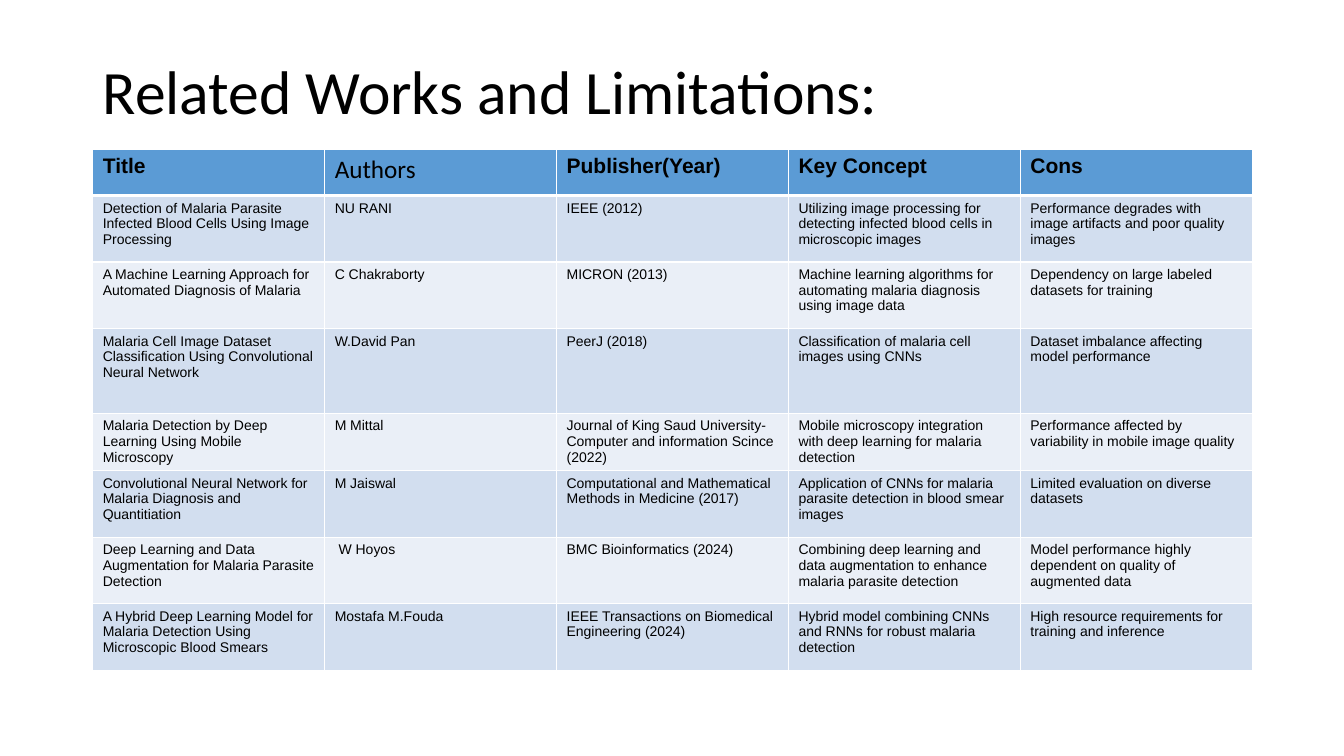
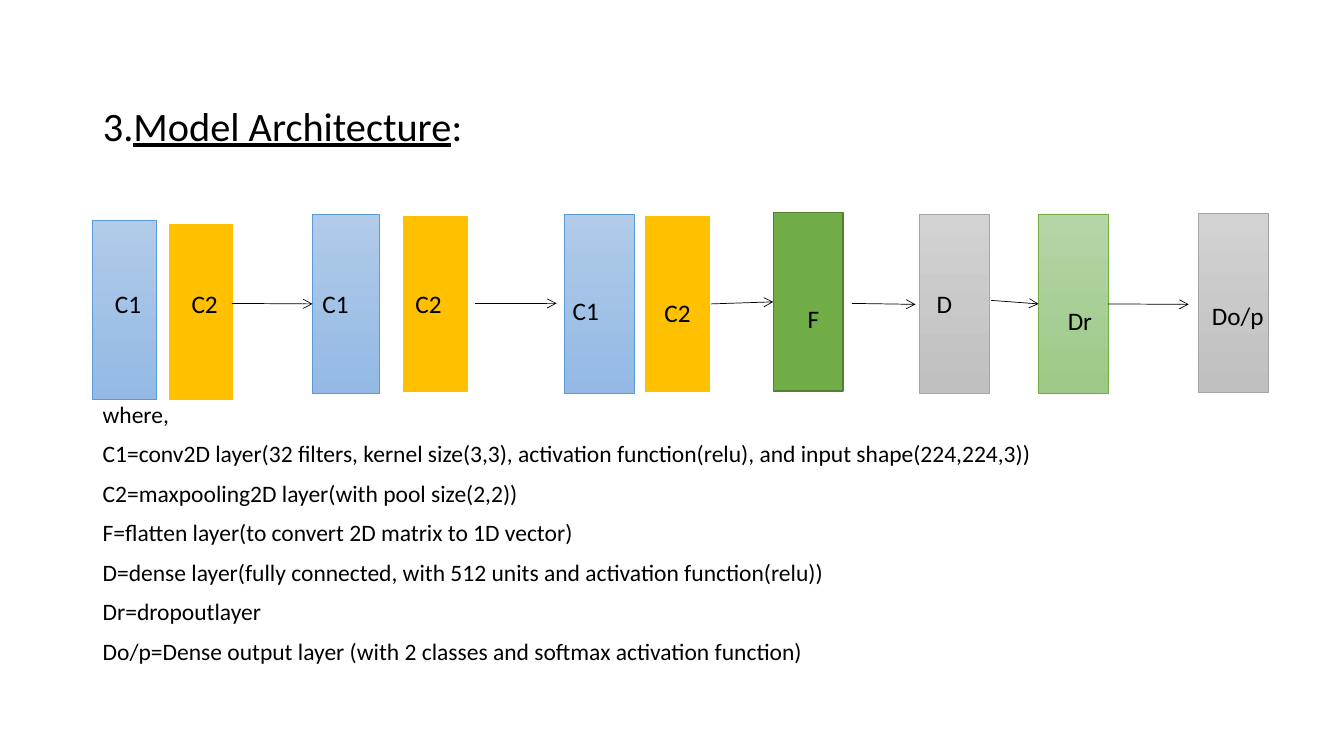
from lxml import etree
from pptx import Presentation
from pptx.dml.color import RGBColor
from pptx.enum.shapes import MSO_CONNECTOR, MSO_SHAPE
from pptx.enum.text import MSO_ANCHOR, MSO_AUTO_SIZE, PP_ALIGN
from pptx.oxml.ns import qn
from pptx.util import Emu, Pt

PX = 9144
TITLE_ONLY = 5
PROCESS = MSO_SHAPE.FLOWCHART_PROCESS
STRAIGHT = MSO_CONNECTOR.STRAIGHT
TOP, MIDDLE = MSO_ANCHOR.TOP, MSO_ANCHOR.MIDDLE
LEFT = PP_ALIGN.LEFT
NO_AUTOFIT = MSO_AUTO_SIZE.NONE
LEFT_SIDE, RIGHT_SIDE = 1, 3

BLACK = RGBColor(0x00, 0x00, 0x00)
WHITE = RGBColor(0xFF, 0xFF, 0xFF)
BLUE = RGBColor(0x5B, 0x9B, 0xD5)
BLUE_BAND = RGBColor(0xD2, 0xDE, 0xEF)
PALE_BAND = RGBColor(0xEA, 0xEF, 0xF7)
BLUE_TOP = RGBColor(0xB1, 0xCB, 0xE9)
BLUE_BOTTOM = RGBColor(0x93, 0xB9, 0xE4)
GOLD = RGBColor(0xFF, 0xC0, 0x00)
GREEN = RGBColor(0x70, 0xAD, 0x47)
DARK_GREEN = RGBColor(0x53, 0x80, 0x35)
GREEN_TOP = RGBColor(0xB5, 0xD5, 0xA7)
GREEN_BOTTOM = RGBColor(0x9C, 0xC9, 0x87)
GRAY = RGBColor(0xA5, 0xA5, 0xA5)
GRAY_TOP = RGBColor(0xD2, 0xD2, 0xD2)
GRAY_BOTTOM = RGBColor(0xC0, 0xC0, 0xC0)

HEADINGS = ["Title", "Authors", "Publisher(Year)", "Key Concept", "Cons"]
WORKS = [
    ["Detection of Malaria Parasite Infected Blood Cells Using Image Processing", "NU RANI", "IEEE (2012)",
     "Utilizing image processing for detecting infected blood cells in microscopic images",
     "Performance degrades with image artifacts and poor quality images"],
    ["A Machine Learning Approach for Automated Diagnosis of Malaria", "C Chakraborty", "MICRON (2013)",
     "Machine learning algorithms for automating malaria diagnosis using image data",
     "Dependency on large labeled datasets for training"],
    ["Malaria Cell Image Dataset Classification Using Convolutional Neural Network", "W.David Pan",
     "PeerJ (2018)", "Classification of malaria cell images using CNNs",
     "Dataset imbalance affecting model performance"],
    ["Malaria Detection by Deep Learning Using Mobile Microscopy", "M Mittal",
     "Journal of King Saud University-Computer and information Scince (2022)",
     "Mobile microscopy integration with deep learning for malaria detection",
     "Performance affected by variability in mobile image quality"],
    ["Convolutional Neural Network for Malaria Diagnosis and Quantitiation", "M Jaiswal",
     "Computational and Mathematical Methods in Medicine (2017)",
     "Application of CNNs for malaria parasite detection in blood smear images",
     "Limited evaluation on diverse datasets"],
    ["Deep Learning and Data Augmentation for Malaria Parasite Detection", " W Hoyos",
     "BMC Bioinformatics (2024)",
     "Combining deep learning and data augmentation to enhance malaria parasite detection",
     "Model performance highly dependent on quality of augmented data"],
    ["A Hybrid Deep Learning Model for Malaria Detection Using Microscopic Blood Smears", "Mostafa M.Fouda",
     "IEEE Transactions on Biomedical Engineering (2024)",
     "Hybrid model combining CNNs and RNNs for robust malaria detection",
     "High resource requirements for training and inference"],
]
COLUMN_WIDTH = 230
ROW_HEIGHTS = [46, 66, 66, 84, 57, 66, 66, 66]

BLOCK_HEIGHT = 177
BLOCK_STYLES = {
    "C1": ([BLUE_TOP, BLUE_BOTTOM], BLUE, 0.5),
    "C2": ([GOLD], WHITE, 1.5),
    "F": ([GREEN], DARK_GREEN, 1),
    "D": ([GRAY_TOP, GRAY_BOTTOM], GRAY, 0.5),
    "Dr": ([GREEN_TOP, GREEN_BOTTOM], GREEN, 0.5),
    "Do/p": ([GRAY_TOP, GRAY_BOTTOM], GRAY, 0.5),
}
BLOCKS = [
    ("C1", 92, 219, 63, (22, 67)),
    ("C2", 167, 221, 65, (23, 65)),
    ("C1", 310, 213, 66, (10, 73)),
    ("C2", 399, 213, 66, (13, 73)),
    ("C1", 560, 213, 69, (8, 80)),
    ("C2", 639, 213, 66, (20, 82)),
    ("F", 767, 211, 69, (34, 90)),
    ("D", 912, 213, 69, (17, 73)),
    ("Dr", 1030, 213, 69, (29, 90)),
    ("Do/p", 1189, 212, 69, (13, 86)),
]
ARROWS = [
    ((230, 301), (310, 301), None, 2),
    ((471, 301), (552, 301), None, None),
    ((705, 300), (767, 302), 5, 6),
    ((845, 301), (908, 302), None, None),
    ((983, 298), (1030, 301), None, 8),
    ((1099, 302), (1179, 302), 8, None),
]
LEGEND = [
    "where,",
    "C1=conv2D layer(32 filters, kernel size(3,3), activation function(relu), and input shape(224,224,3))",
    "C2=maxpooling2D layer(with pool size(2,2))",
    "F=flatten layer(to convert 2D matrix to 1D vector)",
    "D=dense layer(fully connected, with 512 units and activation function(relu))",
    "Dr=dropoutlayer",
    "Do/p=Dense output layer (with 2 classes and softmax activation function)",
]


def px(*lengths):
    return [Emu(length * PX) for length in lengths]


def write(para, text, size=18, font="Calibri", bold=False, underline=False, color=BLACK):
    span = para.add_run()
    span.text = text
    span.font.size = Pt(size)
    span.font.name = font
    span.font.bold = bold
    span.font.underline = underline
    span.font.color.rgb = color


def add_page(deck, box, size, spans):
    page = deck.slides.add_slide(deck.slide_layouts[TITLE_ONLY])
    title = page.shapes.title
    title.left, title.top, title.width, title.height = px(*box)
    frame = title.text_frame
    frame.auto_size = NO_AUTOFIT
    frame.word_wrap = True
    frame.vertical_anchor = MIDDLE
    para = frame.paragraphs[0]
    para.alignment = LEFT
    para.line_spacing = 0.9
    for text, underline in spans:
        write(para, text, size=size, underline=underline)
    return page


def set_borders(cell, bottom):
    properties = cell._tc.get_or_add_tcPr()
    for side, width in (("L", 1), ("R", 1), ("T", 1), ("B", bottom)):
        line = etree.SubElement(properties, qn(f"a:ln{side}"), w=str(Pt(width)))
        fill = etree.SubElement(line, qn("a:solidFill"))
        etree.SubElement(fill, qn("a:srgbClr"), val=str(WHITE))


def fill_cell(cell, text, color, bottom=1, **style):
    set_borders(cell, bottom)
    cell.fill.solid()
    cell.fill.fore_color.rgb = color
    write(cell.text_frame.paragraphs[0], text, **style)


def add_works_table(page, left, top):
    size = px(left, top, COLUMN_WIDTH * len(HEADINGS), sum(ROW_HEIGHTS))
    table = page.shapes.add_table(len(ROW_HEIGHTS), len(HEADINGS), *size).table
    for column in table.columns:
        column.width = Emu(COLUMN_WIDTH * PX)
    for row, height in zip(table.rows, ROW_HEIGHTS):
        row.height = Emu(height * PX)
    for index, heading in enumerate(HEADINGS):
        style = {"size": 18} if heading == "Authors" else {"size": 15, "font": "Arial", "bold": True}
        fill_cell(table.cell(0, index), heading, BLUE, bottom=3, **style)
    for number, work in enumerate(WORKS, 1):
        band = BLUE_BAND if number % 2 else PALE_BAND
        for index, text in enumerate(work):
            fill_cell(table.cell(number, index), text, band, size=10, font="Arial")


def add_block(page, label, left, top, width, inset):
    colors, outline, weight = BLOCK_STYLES[label]
    block = page.shapes.add_shape(PROCESS, *px(left, top, width, BLOCK_HEIGHT))
    block.shadow.inherit = False
    if len(colors) == 1:
        block.fill.solid()
        block.fill.fore_color.rgb = colors[0]
    else:
        block.fill.gradient()
        block.fill.gradient_angle = 270
        for stop, color in zip(block.fill.gradient_stops, colors):
            stop.color.rgb = color
    block.line.color.rgb = outline
    block.line.width = Pt(weight)
    frame = block.text_frame
    frame.word_wrap = True
    frame.vertical_anchor = TOP
    frame.margin_left, frame.margin_top = px(*inset)
    frame.margin_right = frame.margin_bottom = 0
    para = frame.paragraphs[0]
    para.alignment = LEFT
    write(para, label)
    return block


def add_arrow(page, start, end, source, target):
    arrow = page.shapes.add_connector(STRAIGHT, *px(*start, *end))
    if source is not None:
        arrow.begin_connect(source, RIGHT_SIDE)
    if target is not None:
        arrow.end_connect(target, LEFT_SIDE)
    arrow.line.color.rgb = BLACK
    arrow.line.width = Pt(0.5)
    etree.SubElement(arrow.line._get_or_add_ln(), qn("a:tailEnd"), type="arrow")
    etree.SubElement(arrow._element.spPr, qn("a:effectLst"))


def add_legend(page, box, lines):
    frame = page.shapes.add_textbox(*px(*box)).text_frame
    frame.word_wrap = True
    for index, line in enumerate(lines):
        para = frame.add_paragraph() if index else frame.paragraphs[0]
        para.line_spacing = 0.9
        para.space_before = Pt(10 if index else 0)
        write(para, line, size=16.8)


def main():
    deck = Presentation()
    deck.slide_width, deck.slide_height = px(1333, 750)

    page = add_page(deck, (92, 40, 1023, 108), 44, [("Related Works and Limitations:", False)])
    add_works_table(page, 92, 148)

    spans = [("3.", False), ("Model Architecture", True), (":", False)]
    page = add_page(deck, (92, 100, 1193, 54), 28.8, spans)
    blocks = [add_block(page, *block) for block in BLOCKS]
    for start, end, source, target in ARROWS:
        add_arrow(page, start, end,
                  None if source is None else blocks[source],
                  None if target is None else blocks[target])
    add_legend(page, (92, 395, 1193, 281), LEGEND)

    deck.save("out.pptx")


if __name__ == "__main__":
    main()
